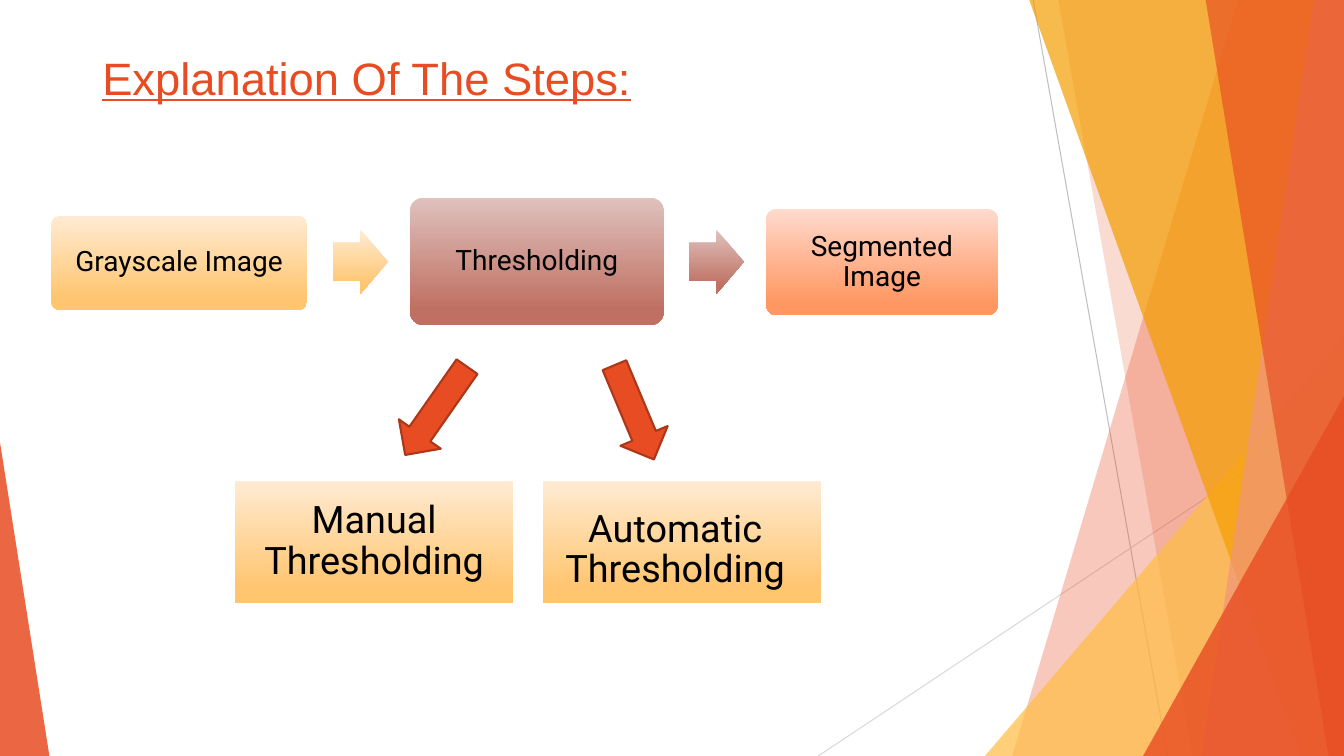
from dataclasses import dataclass

from lxml.etree import SubElement
from pptx import Presentation
from pptx.dml.color import RGBColor
from pptx.enum.shapes import MSO_CONNECTOR, MSO_SHAPE
from pptx.enum.text import MSO_ANCHOR, PP_ALIGN
from pptx.oxml.ns import qn
from pptx.shapes.autoshape import Shape
from pptx.slide import Slide
from pptx.util import Pt

WIDTH, HEIGHT = 960, 540
ORANGE = RGBColor(0xE8, 0x4C, 0x22)
DARK_ORANGE = RGBColor(0xAC, 0x38, 0x19)
AMBER = RGBColor(0xF4, 0x9D, 0x00)
YELLOW = RGBColor(0xFF, 0xBD, 0x47)
SALMON = RGBColor(0xF1, 0x94, 0x7A)
GRAY = RGBColor(0xBF, 0xBF, 0xBF)
LIGHT_GRAY = RGBColor(0xD9, 0xD9, 0xD9)
BLACK = RGBColor(0, 0, 0)
SAND = (RGBColor(0xFF, 0xEB, 0xD3), RGBColor(0xFF, 0xC5, 0x6F))
BRICK = (RGBColor(0xDF, 0xC1, 0xBD), RGBColor(0xBF, 0x70, 0x62))
CORAL = (RGBColor(0xFF, 0xDA, 0xCD), RGBColor(0xFF, 0x97, 0x62))


@dataclass
class Ray:
    start: tuple[float, float]
    end: tuple[float, float]
    color: RGBColor


@dataclass
class Facet:
    top_x: float
    bottom_x: float
    color: RGBColor
    opacity: int


@dataclass
class Wedge:
    left: float
    top: float
    width: float
    apex: float
    color: RGBColor
    opacity: int


@dataclass
class Block:
    kind: MSO_SHAPE
    box: tuple[float, float, float, float]
    gradient: tuple[RGBColor, RGBColor]
    adjustments: tuple[float, ...] = ()
    text: str = ""
    size: float = 20
    insets: tuple[float, float, float, float] = (8, 8, 8, 8)


@dataclass
class BranchArrow:
    box: tuple[float, float, float, float]
    rotation: float


RAYS = [
    Ray((738, 0), (834, HEIGHT), GRAY),
    Ray((WIDTH, 290), (584.5, HEIGHT), LIGHT_GRAY),
]
DECORATION = [
    Facet(884.3, 723, ORANGE, 30),
    Facet(756, 851.8, ORANGE, 20),
    Wedge(703.5, 240, 256.5, 1, YELLOW, 72),
    Facet(735.2, 929.5, AMBER, 70),
    Facet(938.3, 858.3, SALMON, 70),
    Facet(861.2, 949, ORANGE, 65),
    Wedge(816.5, 283, 143.5, 1, ORANGE, 80),
    Wedge(0, 316, 35.3, 0, ORANGE, 85),
]
ROUND, ARROW, RECTANGLE = (
    MSO_SHAPE.ROUNDED_RECTANGLE, MSO_SHAPE.RIGHT_ARROW, MSO_SHAPE.RECTANGLE)
BLOCKS = [
    Block(ROUND, (36.5, 154, 183, 67.5), SAND, (0.1,), "Grayscale Image"),
    Block(ARROW, (238, 164.3, 39, 45.5), SAND, (0.6, 0.5)),
    Block(ROUND, (293, 141.3, 181, 90.7), BRICK, (0.1,), "Thresholding"),
    Block(ARROW, (492.3, 164.3, 39, 45.5), BRICK, (0.6, 0.5)),
    Block(ROUND, (547.2, 149.2, 165.6, 76), CORAL, (0.1,), "Segmented Image"),
    Block(RECTANGLE, (168, 343.5, 198.5, 87), SAND, (),
          "Manual Thresholding", 27, (15, 15, 15, 15)),
    Block(RECTANGLE, (388, 343.5, 198.5, 87), SAND, (),
          "Automatic Thresholding", 27, (10, 18, 20, 6)),
]
BRANCH_ARROWS = [
    BranchArrow((273, 275.2, 77, 36.5), 125),
    BranchArrow((416.5, 276.3, 73, 36.5), 67.3),
]


def set_translucent_fill(shape: Shape, color: RGBColor, opacity: int) -> None:
    shape.shadow.inherit = False
    shape.fill.solid()
    shape.fill.fore_color.rgb = color
    shape.line.fill.background()
    color_element = shape.element.spPr.find(qn("a:solidFill"))[0]
    SubElement(color_element, qn("a:alpha"), val=str(opacity * 1000))


def format_text(shape: Shape, text: str, size: float, font: str, color: RGBColor) -> None:
    shape.text_frame.text = text
    font_format = shape.text_frame.paragraphs[0].runs[0].font
    font_format.size = Pt(size)
    font_format.name = font
    font_format.color.rgb = color


def draw_ray(slide: Slide, ray: Ray) -> None:
    connector = slide.shapes.add_connector(
        MSO_CONNECTOR.STRAIGHT, *map(Pt, ray.start + ray.end))
    connector.line.color.rgb = ray.color
    connector.line.width = Pt(0.75)
    SubElement(connector.element.spPr, qn("a:effectLst"))


def draw_facet(slide: Slide, facet: Facet) -> None:
    builder = slide.shapes.build_freeform(Pt(facet.top_x), 0)
    corners = [(WIDTH, 0), (WIDTH, HEIGHT), (facet.bottom_x, HEIGHT)]
    builder.add_line_segments([(Pt(x), Pt(y)) for x, y in corners])
    set_translucent_fill(builder.convert_to_shape(), facet.color, facet.opacity)


def draw_wedge(slide: Slide, wedge: Wedge) -> None:
    shape = slide.shapes.add_shape(
        MSO_SHAPE.ISOSCELES_TRIANGLE, Pt(wedge.left), Pt(wedge.top),
        Pt(wedge.width), Pt(HEIGHT - wedge.top))
    shape.adjustments[0] = wedge.apex
    set_translucent_fill(shape, wedge.color, wedge.opacity)


def draw_title(slide: Slide, text: str) -> None:
    title = slide.shapes.add_textbox(Pt(66), Pt(32), Pt(828), Pt(50))
    title.text_frame.word_wrap = True
    format_text(title, text, 32.4, "Arial", ORANGE)
    title.text_frame.paragraphs[0].runs[0].font.underline = True


def draw_block(slide: Slide, block: Block) -> None:
    shape = slide.shapes.add_shape(block.kind, *map(Pt, block.box))
    shape.shadow.inherit = False
    shape.line.fill.background()
    for index, adjustment in enumerate(block.adjustments):
        shape.adjustments[index] = adjustment
    shape.fill.gradient()
    shape.fill.gradient_angle = 270
    for stop, color, position in zip(shape.fill.gradient_stops, block.gradient, (0, 0.88)):
        stop.color.rgb = color
        stop.position = position
    if not block.text:
        return
    format_text(shape, block.text, block.size, "Roboto", BLACK)
    frame = shape.text_frame
    frame.word_wrap = True
    frame.vertical_anchor = MSO_ANCHOR.MIDDLE
    frame.margin_left, frame.margin_top, frame.margin_right, frame.margin_bottom = map(
        Pt, block.insets)
    frame.paragraphs[0].alignment = PP_ALIGN.CENTER
    frame.paragraphs[0].line_spacing = 0.9


def draw_branch_arrow(slide: Slide, arrow: BranchArrow) -> None:
    shape = slide.shapes.add_shape(ARROW, *map(Pt, arrow.box))
    shape.shadow.inherit = False
    shape.rotation = arrow.rotation
    shape.fill.solid()
    shape.fill.fore_color.rgb = ORANGE
    shape.line.color.rgb = DARK_ORANGE
    shape.line.width = Pt(1.5)


def main() -> None:
    presentation = Presentation()
    presentation.slide_width, presentation.slide_height = Pt(WIDTH), Pt(HEIGHT)
    slide = presentation.slides.add_slide(presentation.slide_layouts[6])
    for ray in RAYS:
        draw_ray(slide, ray)
    for part in DECORATION:
        if isinstance(part, Facet):
            draw_facet(slide, part)
        else:
            draw_wedge(slide, part)
    draw_title(slide, "Explanation Of The Steps:")
    for block in BLOCKS:
        draw_block(slide, block)
    for arrow in BRANCH_ARROWS:
        draw_branch_arrow(slide, arrow)
    presentation.save("out.pptx")


if __name__ == "__main__":
    main()
